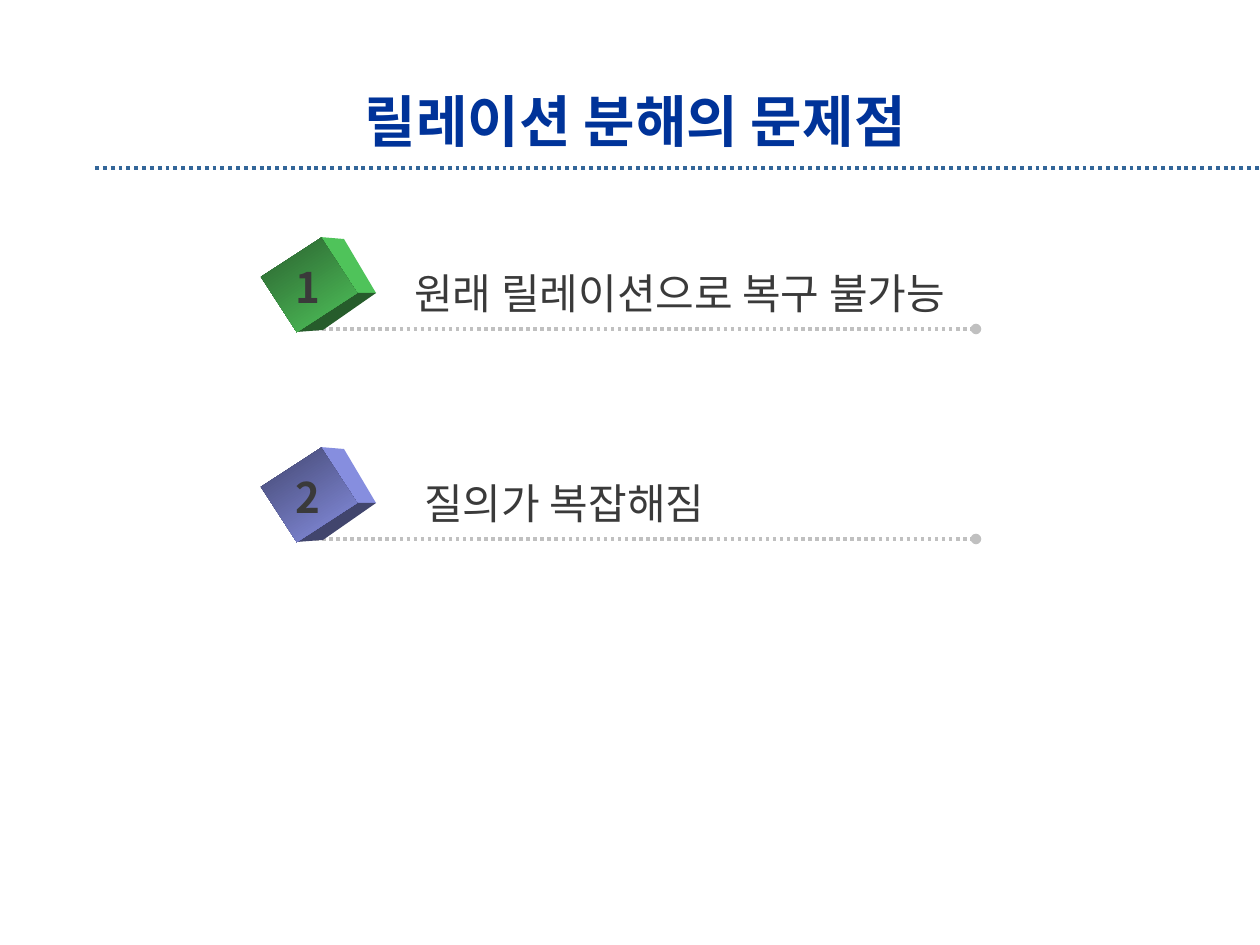
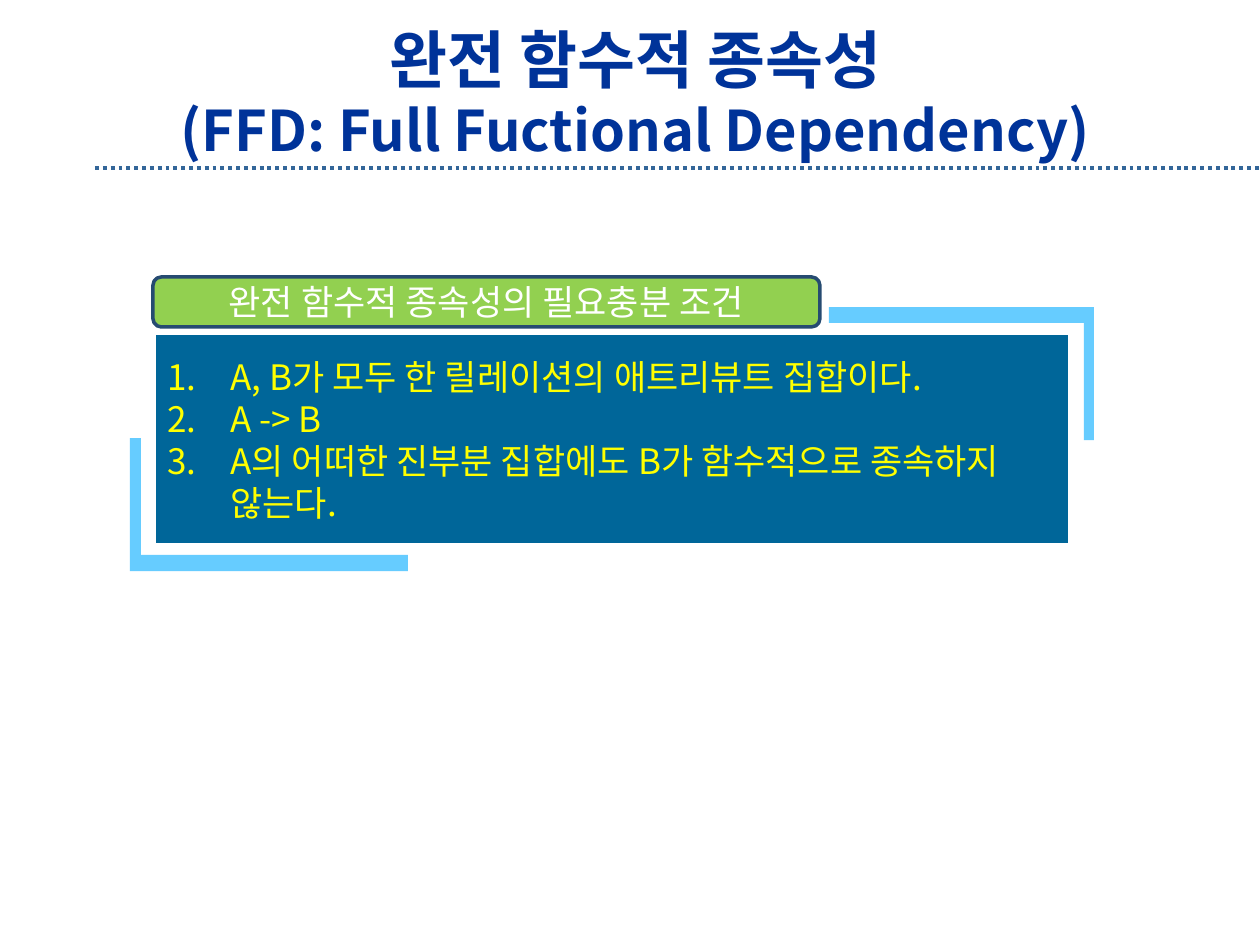
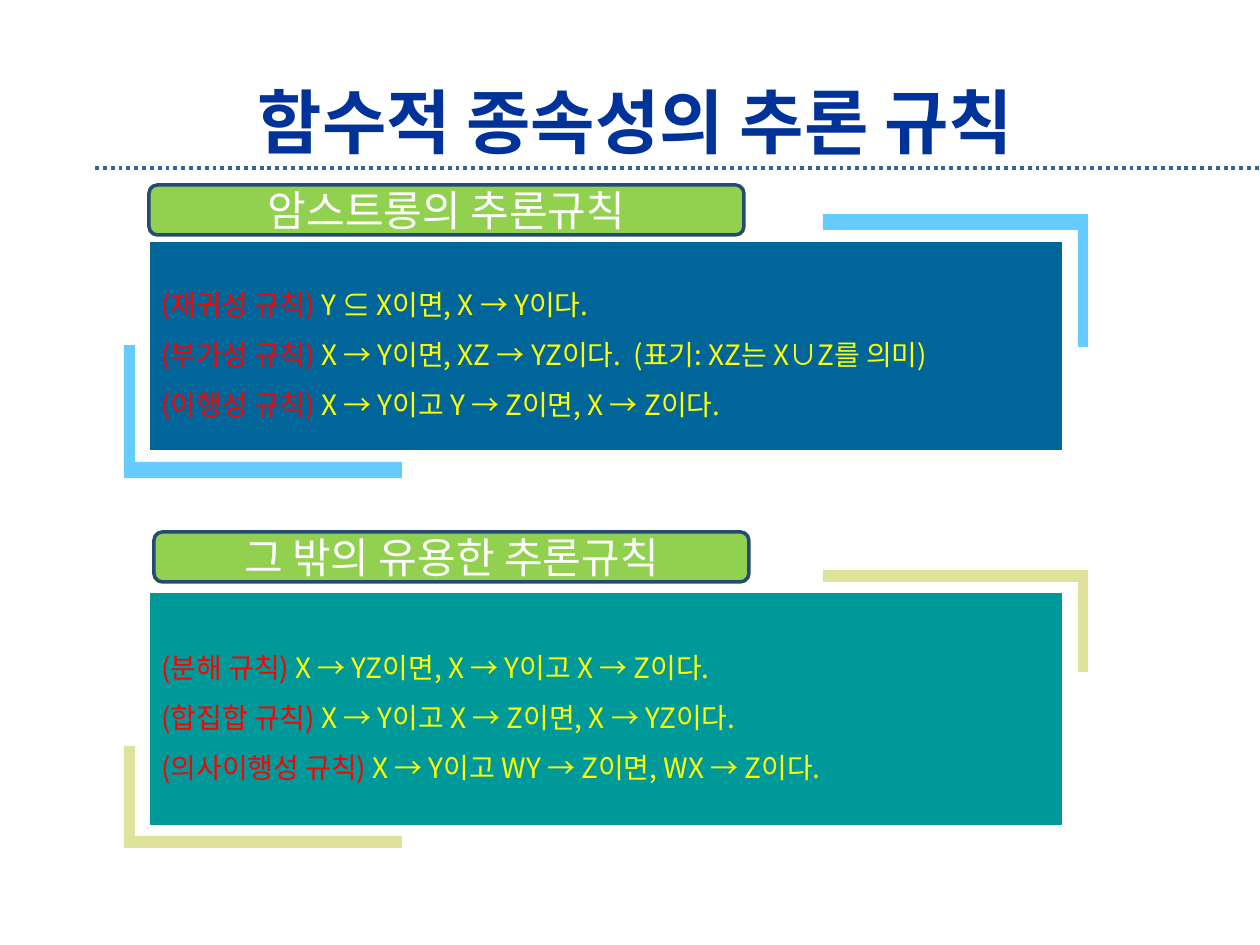
from dataclasses import dataclass

from lxml.etree import SubElement
from pptx import Presentation
from pptx.dml.color import RGBColor
from pptx.enum.dml import MSO_LINE
from pptx.enum.shapes import MSO_CONNECTOR, MSO_SHAPE
from pptx.enum.text import MSO_ANCHOR, MSO_AUTO_SIZE, PP_ALIGN
from pptx.oxml.ns import qn
from pptx.util import Pt

SCALE = 914400 / 126


@dataclass(frozen=True)
class Theme:
    font: str = "Noto Sans CJK KR"
    title: str = "003399"
    title_line: str = "336699"
    item_line: str = "C0C0C0"
    item_text: str = "3A3A3A"
    white: str = "FFFFFF"
    header: str = "92D050"
    header_line: str = "264B71"
    blue_panel: str = "006699"
    blue_bracket: str = "66CCFF"
    teal_panel: str = "009999"
    sand_bracket: str = "DFE29A"
    rule_name: str = "FF0000"
    rule_text: str = "FFFF00"
    green_cube: tuple = ("2A602F", "50C55B", "4FC35A", "265C2B")
    purple_cube: tuple = ("42466E", "8890E4", "868EDF", "41456D")
    title_size: int = 32
    large_title_size: int = 36
    largest_title_size: int = 40
    item_size: int = 24
    condition_size: int = 20
    rule_size: int = 16


def px(length):
    return round(length * SCALE)


def box(*lengths):
    return [px(length) for length in lengths]


def rgb(color):
    return RGBColor.from_string(color)


class Deck:
    def __init__(self, theme):
        self.theme = theme
        self.presentation = Presentation()
        self.presentation.slide_width = px(1260)
        self.presentation.slide_height = px(945)
        self.slide = None

    def add_run(self, paragraph, text, size, color, bold=False):
        run = paragraph.add_run()
        run.text = text
        run.font.size = Pt(size)
        run.font.bold = bold
        run.font.name = self.theme.font
        run.font.color.rgb = rgb(color)
        properties = run.font._element
        SubElement(properties, qn("a:ea")).set("typeface", self.theme.font)

    def add_slide(self, lines, top=84):
        layout = self.presentation.slide_layouts[5]
        self.slide = self.presentation.slides.add_slide(layout)
        self.dotted_line(95, 1260, 168, self.theme.title_line, 2.25)
        title = self.slide.shapes.title
        title.left, title.top, title.width, title.height = box(95, top, 1081, 73)
        frame = title.text_frame
        frame.auto_size = MSO_AUTO_SIZE.NONE
        frame.vertical_anchor = MSO_ANCHOR.MIDDLE
        paragraph = frame.paragraphs[0]
        paragraph.alignment = PP_ALIGN.CENTER
        for index, (text, size) in enumerate(lines):
            if index:
                paragraph.add_line_break()
            self.add_run(paragraph, text, size, self.theme.title, bold=True)

    def dotted_line(self, left, right, y, color, width, oval_end=False):
        connector = self.slide.shapes.add_connector(
            MSO_CONNECTOR.STRAIGHT, *box(left, y, right, y))
        connector.line.color.rgb = rgb(color)
        connector.line.width = Pt(width)
        connector.line.dash_style = MSO_LINE.ROUND_DOT
        properties = connector._element.spPr
        if oval_end:
            SubElement(properties.find(qn("a:ln")), qn("a:tailEnd")).set("type", "oval")
        SubElement(properties, qn("a:effectLst"))

    def polygon(self, points, color):
        builder = self.slide.shapes.build_freeform(*points[0], scale=SCALE)
        builder.add_line_segments(points[1:], close=True)
        shape = builder.convert_to_shape()
        shape.shadow.inherit = False
        shape.fill.solid()
        shape.fill.fore_color.rgb = rgb(color)
        shape.line.fill.background()

    def rectangle(self, kind, bounds, fill, line, line_width):
        shape = self.slide.shapes.add_shape(kind, *box(*bounds))
        shape.shadow.inherit = False
        shape.fill.solid()
        shape.fill.fore_color.rgb = rgb(fill)
        shape.line.color.rgb = rgb(line)
        shape.line.width = Pt(line_width)
        frame = shape.text_frame
        frame.word_wrap = True
        frame.vertical_anchor = MSO_ANCHOR.MIDDLE
        return frame

    def label(self, left, top, width, text, bold=False):
        shape = self.slide.shapes.add_textbox(*box(left, top, width, 64))
        frame = shape.text_frame
        frame.word_wrap = False
        frame.auto_size = MSO_AUTO_SIZE.SHAPE_TO_FIT_TEXT
        self.add_run(frame.paragraphs[0], text, self.theme.item_size,
                     self.theme.item_text, bold)

    def cube(self, top, colors):
        dark, light, side, base = colors
        self.polygon([(320, top), (344, top + 2), (376, top + 56), (353, top + 56)], side)
        self.polygon([(297, top + 95), (353, top + 56), (376, top + 56),
                      (323, top + 93)], base)
        face = self.slide.shapes.add_shape(
            MSO_SHAPE.RECTANGLE, *box(276, top + 12, 66, 72))
        face.rotation = 57
        face.shadow.inherit = False
        face.line.fill.background()
        face.fill.gradient()
        face.fill.gradient_angle = 0
        for stop, color in zip(face.fill.gradient_stops, (dark, light)):
            stop.color.rgb = rgb(color)

    def item(self, top, number, text, text_left, text_width, colors):
        self.dotted_line(315, 976, top + 92, self.theme.item_line, 2, oval_end=True)
        self.cube(top, colors)
        self.label(text_left, top + 24, text_width, text)
        self.label(283, top + 18, 52, number, bold=True)

    def bracket(self, corner_x, corner_y, width, height, bar, post):
        x_sign = 1 if width > 0 else -1
        y_sign = 1 if height > 0 else -1
        inner_x = corner_x + x_sign * post
        inner_y = corner_y + y_sign * bar
        end_x, end_y = corner_x + width, corner_y + height
        return [(corner_x, corner_y), (end_x, corner_y), (end_x, inner_y),
                (inner_x, inner_y), (inner_x, end_y), (corner_x, end_y)]

    def panel(self, bounds, fill, bracket_color, gap, arm, bar):
        left, top, width, height = bounds
        lower = self.bracket(left - 25, top + height + gap, 278, -arm, bar, 11)
        upper = self.bracket(left + width + 25, top - gap, -265, arm, bar, 10)
        for points in (lower, upper):
            self.polygon(points, bracket_color)
        return self.rectangle(MSO_SHAPE.RECTANGLE, bounds, fill, self.theme.white, 0.75)

    def header(self, left, top, width, text, size):
        frame = self.rectangle(MSO_SHAPE.ROUNDED_RECTANGLE, (left, top, width, 50),
                               self.theme.header, self.theme.header_line, 2)
        paragraph = frame.paragraphs[0]
        paragraph.alignment = PP_ALIGN.CENTER
        self.add_run(paragraph, text, size, self.theme.white)

    def paragraphs(self, frame, count):
        for _ in range(count - 1):
            frame.add_paragraph()
        for paragraph in frame.paragraphs:
            paragraph.alignment = PP_ALIGN.LEFT
        return frame.paragraphs

    def numbered_list(self, frame, lines):
        for paragraph, text in zip(self.paragraphs(frame, len(lines)), lines):
            properties = paragraph._element.get_or_add_pPr()
            properties.set("marL", str(px(63)))
            properties.set("indent", str(-px(63)))
            SubElement(properties, qn("a:buFont")).set("typeface", self.theme.font)
            SubElement(properties, qn("a:buAutoNum")).set("type", "arabicPeriod")
            self.add_run(paragraph, text, self.theme.condition_size, self.theme.rule_text)

    def rules(self, frame, rules):
        for paragraph, (name, text) in zip(self.paragraphs(frame, len(rules)), rules):
            paragraph.line_spacing = 1.5
            self.add_run(paragraph, f"({name}) ", self.theme.rule_size, self.theme.rule_name)
            self.add_run(paragraph, text, self.theme.rule_size, self.theme.rule_text)


def build_problems(deck):
    theme = deck.theme
    deck.add_slide([("릴레이션 분해의 문제점", theme.title_size)])
    items = [("원래 릴레이션으로 복구 불가능", 402, 619, theme.green_cube),
             ("질의가 복잡해짐", 412, 336, theme.purple_cube)]
    for index, (text, left, width, colors) in enumerate(items):
        deck.item(237 + 210 * index, str(index + 1), text, left, width, colors)


def build_full_dependency(deck):
    theme = deck.theme
    deck.add_slide([("완전 함수적 종속성", theme.large_title_size),
                    ("(FFD: Full Fuctional Dependency)", theme.title_size)], top=55)
    frame = deck.panel((155, 334, 914, 210), theme.blue_panel, theme.blue_bracket,
                       gap=27, arm=133, bar=16)
    deck.numbered_list(frame, ["A, B가 모두 한 릴레이션의 애트리뷰트 집합이다.",
                               "A -> B",
                               "A의 어떠한 진부분 집합에도 B가 함수적으로 종속하지 않는다."])
    deck.header(153, 277, 667, "완전 함수적 종속성의 필요충분 조건", theme.condition_size)


def build_inference_rules(deck):
    theme = deck.theme
    deck.add_slide([("함수적 종속성의 추론 규칙", theme.largest_title_size)])
    frame = deck.panel((149, 241, 914, 210), theme.blue_panel, theme.blue_bracket,
                       gap=27, arm=133, bar=16)
    deck.rules(frame, [
        ("재귀성 규칙", "Y ⊆ X이면, X → Y이다."),
        ("부가성 규칙", "X → Y이면, XZ → YZ이다.  (표기: XZ는 X∪Z를 의미)"),
        ("이행성 규칙", "X → Y이고 Y → Z이면, X → Z이다.")])
    frame = deck.panel((149, 592, 914, 234), theme.teal_panel, theme.sand_bracket,
                       gap=22, arm=102, bar=12)
    deck.rules(frame, [
        ("분해 규칙", "X → YZ이면, X → Y이고 X → Z이다."),
        ("합집합 규칙", "X → Y이고 X → Z이면, X → YZ이다."),
        ("의사이행성 규칙", "X → Y이고 WY → Z이면, WX → Z이다.")])
    deck.header(154, 532, 595, "그 밖의 유용한 추론규칙", theme.item_size)
    deck.header(149, 185, 595, "암스트롱의 추론규칙", theme.item_size)


def main():
    deck = Deck(Theme())
    build_problems(deck)
    build_full_dependency(deck)
    build_inference_rules(deck)
    deck.presentation.save("out.pptx")


if __name__ == "__main__":
    main()
